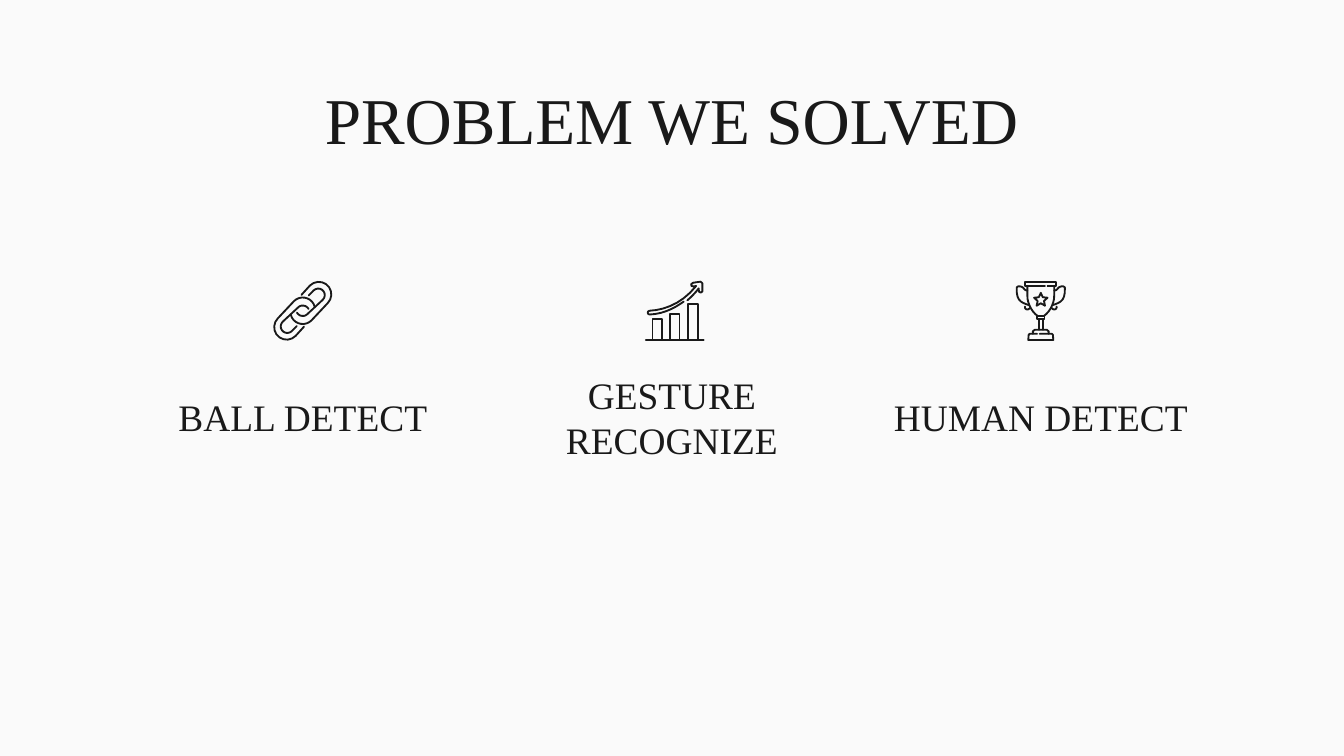
from math import cos, radians, sin

from lxml.etree import SubElement
from pptx import Presentation
from pptx.dml.color import RGBColor
from pptx.enum.text import MSO_ANCHOR, PP_ALIGN
from pptx.oxml.ns import qn
from pptx.util import Pt


def color(hex_code):
    return RGBColor.from_string(hex_code)


def arc(x, y, radius, start, end, steps=9):
    angles = [radians(start + (end - start) * i / steps) for i in range(steps + 1)]
    return [(x + radius * cos(a), y + radius * sin(a)) for a in angles]


def curve(first, pull_a, pull_b, last, steps=7):
    points = []
    for i in range(steps + 1):
        t = i / steps
        weights = ((1 - t) ** 3, 3 * t * (1 - t) ** 2, 3 * t * t * (1 - t), t ** 3)
        corners = (first, pull_a, pull_b, last)
        points.append(tuple(sum(w * c[axis] for w, c in zip(weights, corners))
                            for axis in (0, 1)))
    return points


def flip(points, across=-1, down=1):
    return [(across * x, down * y) for x, y in points]


class SlideBuilder:
    font = "Times New Roman"
    ink = "191919"
    paper = "FAFAFA"
    inset = Pt(7.2)
    stroke = Pt(1)

    def __init__(self, deck):
        self.page = deck.slides.add_slide(deck.slide_layouts[6])
        self.page.background.fill.solid()
        self.page.background.fill.fore_color.rgb = color(self.paper)

    def text(self, words, left, top, width, height, size, anchor):
        box = self.page.shapes.add_textbox(Pt(left), Pt(top), Pt(width), Pt(height))
        frame = box.text_frame
        frame.word_wrap = True
        frame.vertical_anchor = anchor
        frame.margin_left = frame.margin_right = self.inset
        frame.margin_top = frame.margin_bottom = self.inset
        para = frame.paragraphs[0]
        para.alignment = PP_ALIGN.CENTER
        span = para.add_run()
        span.text = words
        span.font.name = self.font
        span.font.size = Pt(size)
        span.font.color.rgb = color(self.ink)

    def icon(self, x, y, parts):
        """Draw line art, one shape a part, measured from the icon centre."""
        group = self.page.shapes.add_group_shape()
        for strokes in parts:
            placed = [[(Pt(x + dx), Pt(y + dy)) for dx, dy in points]
                      for points in strokes]
            builder = group.shapes.build_freeform(*placed[0][0])
            builder.add_line_segments(placed[0][1:], close=False)
            for points in placed[1:]:
                builder.move_to(*points[0])
                builder.add_line_segments(points[1:], close=False)
            shape = builder.convert_to_shape()
            shape.shadow.inherit = False
            shape.fill.background()
            shape.line.width = self.stroke
            shape.line.color.rgb = color(self.ink)
            line = shape.line._get_or_add_ln()
            line.set("cap", "rnd")
            SubElement(line, qn("a:round"))


def chain_parts():
    outer = ([(-0.7, -8.5)] + arc(8.6, -8.8, 6.7, 225, 405)
             + arc(0, 0.5, 6.6, 45, 165))
    inner = (arc(0, 0.8, 3.6, 330, 225) + arc(-8.3, 8.4, 3.5, 225, 45)
             + [(-3.2, 8.2)])
    upper_link = [outer, inner]
    return [[flip(points, -1, -1) for points in upper_link], upper_link]


def growth_parts():
    floor = 15.6
    bars = [[(left, floor), (left, top), (left + 5.1, top), (left + 5.1, floor)]
            for left, top in ((-11.9, 4.4), (-2.5, 1.9), (7.2, -3.4))]
    arrow = (curve((4.8, -4.9), (0, -1.5), (-6, 1.8), (-13.5, 2))
             + arc(-13.5, 1, 1, 90, 270, 4)
             + curve((-13.5, 0), (-5, -0.5), (4, -4), (11.5, -13.3))
             + [(10, -13), (9, -13.3), (8.8, -14.2), (9.8, -15),
                (13.8, -15.6), (14.8, -14.8), (14.8, -10.3), (13.9, -9.7),
                (13, -10.2), (12.8, -12)]
             + curve((12.8, -12), (11, -9.5), (9, -7.5), (6.8, -5.6), 4))
    return [[[(-15.5, floor), (15.5, floor)], *bars], [arrow]]


def trophy_parts():
    rim = [(2.2, -13.3), (-8.3, -13.3), (-8.3, -15.6), (8.3, -15.6),
           (8.3, -13.3), (3.6, -13.3)]
    side = [(7.2, -13.3)] + curve((7.2, -8), (7.2, -4), (5, 0.5), (1.6, 2.9))
    handle = (curve((7.2, -10.8), (9.5, -10.8), (8.5, -13.1), (12, -13.1))
              + curve((12.9, -12.5), (13.2, -5), (10.5, -4.5), (6.2, -2.9)))
    curl = curve((5.8, -1.5), (6.8, 0), (8.7, -0.6), (8.5, -2.2))
    stem = [(1, 4.6), (1, 10.2)]
    neck = [(-2, 2.9), (2, 2.9), (2, 4.6), (-2, 4.6), (-2, 2.9)]
    step = [(-4.2, 12.4), (-4.2, 11), (-3.2, 10.2), (3.2, 10.2), (4.2, 11), (4.2, 12.4)]
    base = [(-2, 12.4), (-6, 12.4), (-6.5, 13), (-6.7, 15.7), (6.7, 15.7),
            (6.5, 13), (6, 12.4), (-0.6, 12.4)]
    star = [(radius * cos(radians(36 * i - 90)), radius * sin(radians(36 * i - 90)) - 5.8)
            for i, radius in enumerate([3.8, 1.8] * 5 + [3.8])]
    pairs = [side, handle, curl, stem]
    return [[rim, neck, step, base, *pairs, *map(flip, pairs)], [star]]


def main():
    deck = Presentation()
    deck.slide_width, deck.slide_height = Pt(720), Pt(405)
    slide = SlideBuilder(deck)

    # Title
    slide.text("PROBLEM WE SOLVED", 56.7, 35.3, 606.6, 45.4, 35, MSO_ANCHOR.TOP)

    # Three solved problems, each an icon above its label
    column = 197.7
    first_left = (720 - 3 * column) / 2
    problems = [("BALL DETECT", chain_parts(), 162.2),
                ("GESTURE RECOGNIZE", growth_parts(), 361.5),
                ("HUMAN DETECT", trophy_parts(), 557.6)]
    for index, (label, parts, icon_x) in enumerate(problems):
        slide.text(label, first_left + index * column, 191.5, column, 63.4, 20,
                   MSO_ANCHOR.MIDDLE)
        slide.icon(icon_x, 166.5, parts)

    deck.save("out.pptx")


if __name__ == "__main__":
    main()
